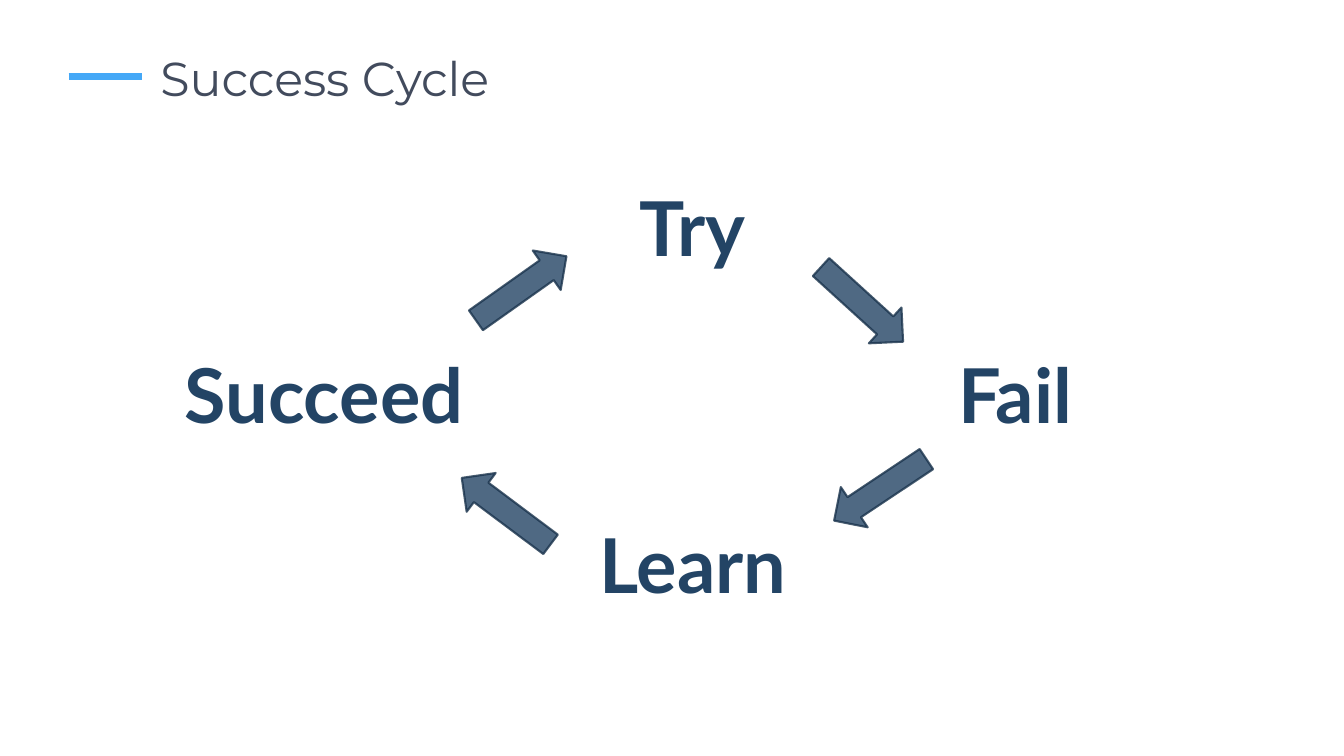
from lxml import etree
from pptx import Presentation
from pptx.dml.color import RGBColor
from pptx.enum.shapes import MSO_CONNECTOR, MSO_SHAPE
from pptx.enum.text import MSO_ANCHOR, MSO_AUTO_SIZE, PP_ALIGN
from pptx.oxml.ns import qn
from pptx.util import Inches, Pt

COLORS = {"accent": "44A8F7", "title": "424B5D", "navy": "234465", "outline": "1A334C"}
STEPS = [
    ("Try", 6.2, 1.75, 1.34),
    ("Fail", 9.37, 3.4, 1.4),
    ("Learn", 5.83, 5.09, 2.09),
    ("Succeed", 1.71, 3.4, 3.01),
]
ARROWS = [
    (8, 2.78, 42.3),
    (8.18, 4.62, 146.3),
    (4.47, 4.83, 216.8),
    (4.62, 2.62, 324.7),
]


class CycleSlide:
    def __init__(self, prs):
        self.s = prs.slides.add_slide(prs.slide_layouts[6])

    def color(self, name):
        return RGBColor.from_string(COLORS[name])

    def rule(self, x1, x2, y):
        sp = self.s.shapes.add_connector(
            MSO_CONNECTOR.STRAIGHT, Inches(x1), Inches(y), Inches(x2), Inches(y))
        sp.line.color.rgb = self.color("accent")
        sp.line.width = Pt(5)
        etree.SubElement(sp._element.spPr, qn("a:effectLst"))

    def text(self, text, x, y, w, h, font, size, color, bold=False):
        sp = self.s.shapes.add_textbox(Inches(x), Inches(y), Inches(w), Inches(h))
        tf = sp.text_frame
        tf.vertical_anchor = MSO_ANCHOR.TOP
        p = tf.paragraphs[0]
        p.text = text
        p.font.name = font
        p.font.size = Pt(size)
        p.font.bold = bold
        p.font.color.rgb = self.color(color)
        return tf

    def title(self, text):
        tf = self.text(text, 1.47, 0.42, 11.12, 0.75, "Montserrat", 34, "title")
        tf.word_wrap = True
        tf.margin_left = tf.margin_right = Inches(0.12)
        tf.margin_top = tf.margin_bottom = Inches(0.04)
        p = tf.paragraphs[0]
        p.line_spacing = 1.05
        p.space_after = Pt(6)

    def step(self, text, x, y, w):
        tf = self.text(text, x, y, w, 1.01, "Lato", 54, "navy", True)
        tf.word_wrap = False
        tf.auto_size = MSO_AUTO_SIZE.SHAPE_TO_FIT_TEXT
        tf.paragraphs[0].alignment = PP_ALIGN.CENTER

    def arrow(self, x, y, angle):
        sp = self.s.shapes.add_shape(
            MSO_SHAPE.RIGHT_ARROW, Inches(x), Inches(y), Inches(1.1), Inches(0.48))
        sp.rotation = angle
        sp.shadow.inherit = False
        sp.fill.solid()
        sp.fill.fore_color.rgb = self.color("navy")
        sp.line.color.rgb = self.color("outline")
        sp.line.width = Pt(1.5)
        for clr in sp._element.spPr.iter(qn("a:srgbClr")):
            etree.SubElement(clr, qn("a:alpha"), val="80000")


def main():
    prs = Presentation()
    prs.slide_width = Inches(13.33)
    prs.slide_height = Inches(7.5)
    s = CycleSlide(prs)
    s.rule(0.68, 1.41, 0.76)
    s.title("Success Cycle")
    for step in STEPS:
        s.step(*step)
    for arrow in ARROWS:
        s.arrow(*arrow)
    prs.save("out.pptx")


if __name__ == "__main__":
    main()
